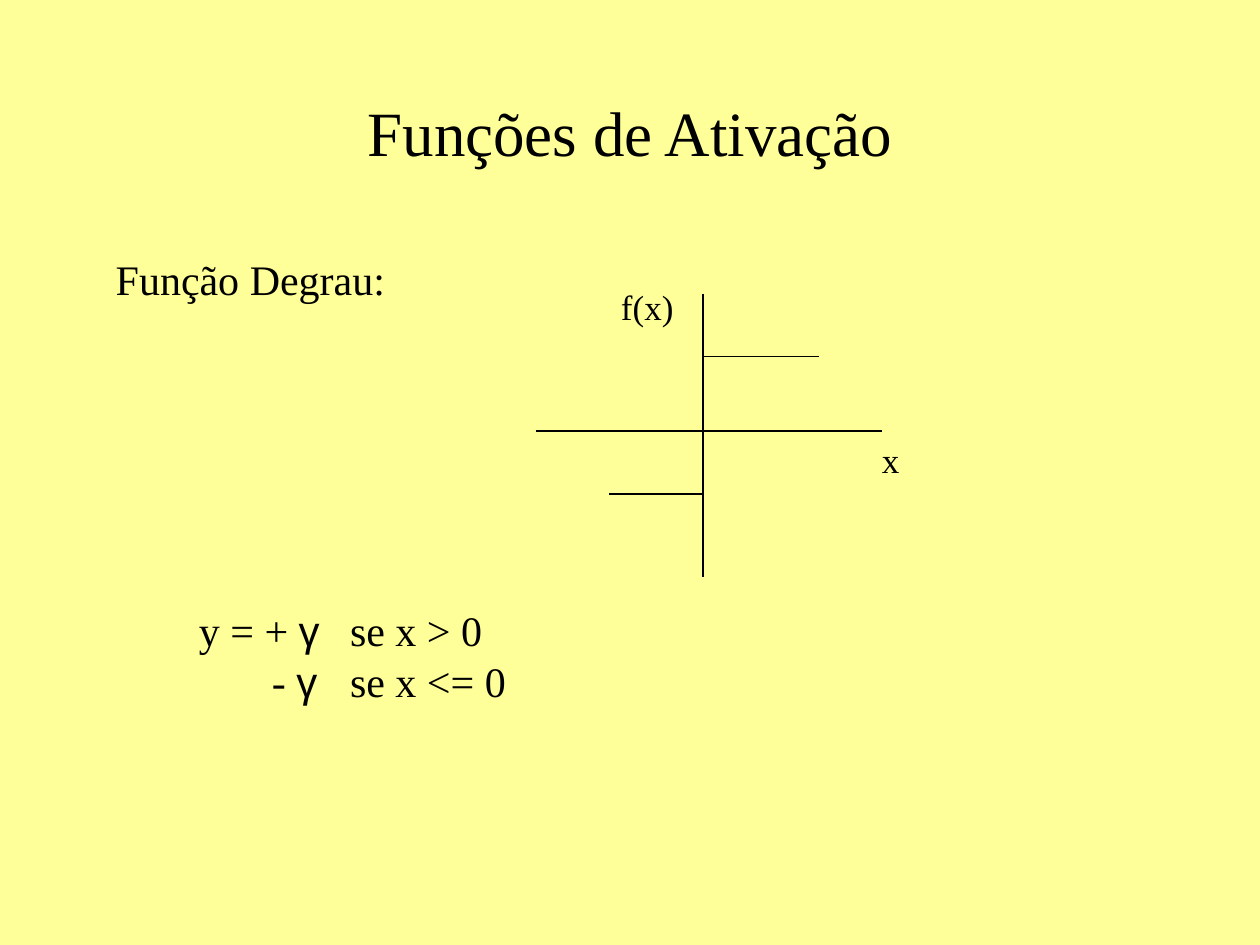
"""Build a slide on activation functions with a sketch of the step function."""
import pptx
import pptx.dml.color
import pptx.enum.shapes
import pptx.enum.text
import pptx.oxml
import pptx.oxml.ns
import pptx.util

Inches = pptx.util.Inches
Pt = pptx.util.Pt
Color = pptx.dml.color.RGBColor.from_string
Align = pptx.enum.text.PP_ALIGN
Anchor = pptx.enum.text.MSO_ANCHOR
Fit = pptx.enum.text.MSO_AUTO_SIZE
theme = {
    "back": Color("FFFF99"), "ink": Color("000000"),
    "font": "Times New Roman", "greek": "Arial",
    "title": Pt(36), "body": Pt(24), "label": Pt(20), "line": Pt(0.75),
}


def add_text(slide, box, rows, size, frame, align=Align.LEFT):
    text = slide.shapes.add_textbox(*map(Inches, box)).text_frame
    for name, value in frame.items():
        setattr(text, name, value)
    for i, (runs, tabs) in enumerate(rows):
        para = text.add_paragraph() if i else text.paragraphs[0]
        para.alignment = align
        if tabs:
            stops = pptx.oxml.parse_xml(f"<a:tabLst {pptx.oxml.ns.nsdecls('a')}/>")
            for tab in tabs:
                stop = stops.makeelement(pptx.oxml.ns.qn("a:tab"), {"pos": str(Inches(tab)), "algn": "l"})
                stops.append(stop)
            para._p.get_or_add_pPr().append(stops)
        for words in runs:
            run = para.add_run()
            run.text = words
            run.font.name = theme["greek" if words == "γ" else "font"]
            run.font.size = theme[size]
            run.font.color.rgb = theme["ink"]


deck = pptx.Presentation()
deck.slide_width, deck.slide_height = Inches(10), Inches(7.5)
slide = deck.slides.add_slide(deck.slide_layouts[6])
slide.background.fill.solid()
slide.background.fill.fore_color.rgb = theme["back"]

fixed = {"word_wrap": True, "vertical_anchor": Anchor.MIDDLE}
grow = {"word_wrap": False, "auto_size": Fit.SHAPE_TO_FIT_TEXT}
add_text(slide, (0.75, 0.67, 8.5, 0.75), [(["Funções de Ativação"], [])], "title", fixed, Align.CENTER)

labels = [
    ("Função Degrau:", (0.82, 1.96, 2.36, 0.5), "body"),
    ("x", (6.9, 3.43, 0.36, 0.44), "label"),
    ("f(x)", (4.83, 2.22, 0.65, 0.44), "label"),
]
for words, box, size in labels:
    add_text(slide, box, [([words], [])], size, grow)

mid = 5.58
lines = [
    (mid, 2.33, mid, 4.58),
    (4.25, 3.42, 7, 3.42),
    (mid, 2.83, 6.5, 2.83),
    (mid, 3.92, 4.83, 3.92),
]
for ends in lines:
    line = slide.shapes.add_connector(pptx.enum.shapes.MSO_CONNECTOR.STRAIGHT, *map(Inches, ends))
    line.line.color.rgb = theme["ink"]
    line.line.width = theme["line"]
    line._element.spPr.append(pptx.oxml.parse_xml(f"<a:effectLst {pptx.oxml.ns.nsdecls('a')}/>"))

cases = [
    (["y = + ", "γ", "\tse x > 0"], [1.2]),
    (["\t- ", "γ", "\tse x <= 0"], [0.58, 1.2]),
]
add_text(slide, (1.48, 4.75, 2.65, 0.9), cases, "body", grow)

deck.save("out.pptx")
